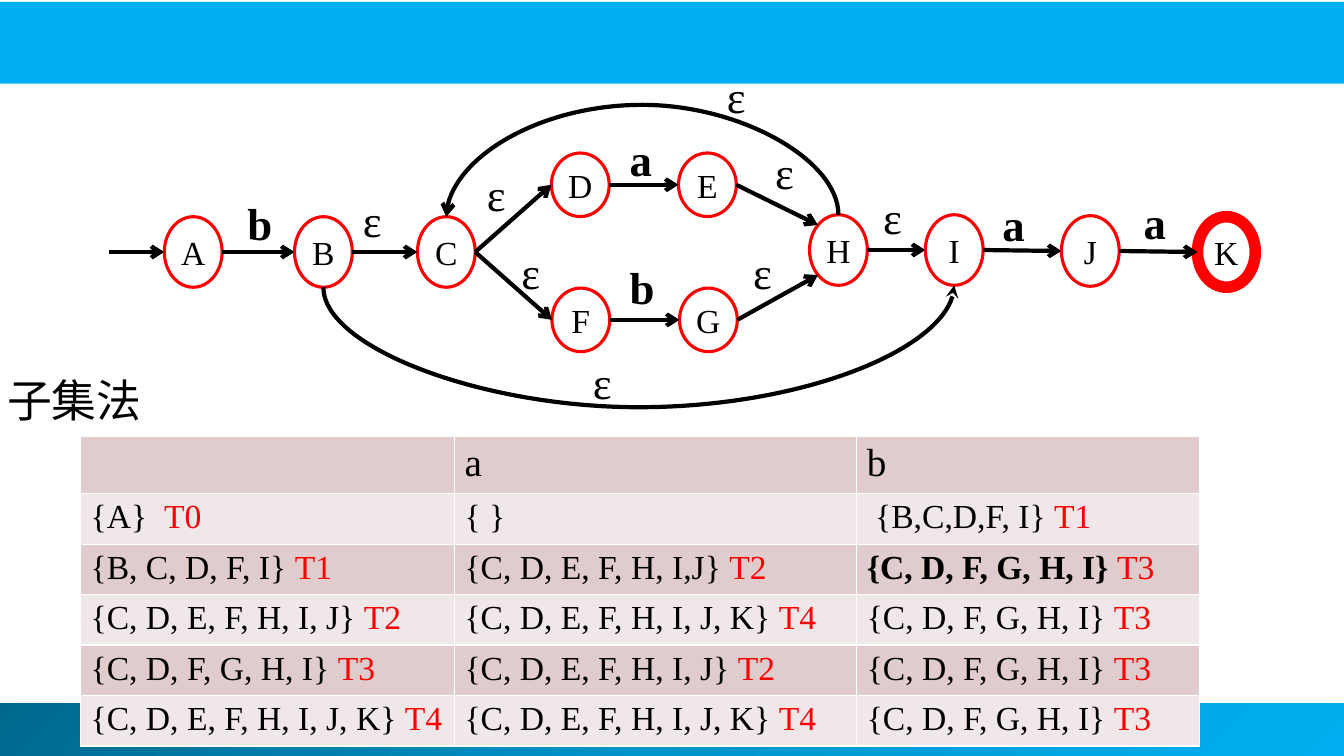
from copy import deepcopy

from lxml import etree
from pptx import Presentation
from pptx.dml.color import RGBColor
from pptx.enum.shapes import MSO_CONNECTOR, MSO_SHAPE
from pptx.enum.text import MSO_ANCHOR, MSO_AUTO_SIZE, PP_ALIGN
from pptx.oxml.ns import qn
from pptx.util import Pt

STRAIGHT, CURVE = MSO_CONNECTOR.STRAIGHT, MSO_CONNECTOR.CURVE
RECTANGLE, OVAL = MSO_SHAPE.RECTANGLE, MSO_SHAPE.OVAL
MIDDLE, CENTER = MSO_ANCHOR.MIDDLE, PP_ALIGN.CENTER
GROW = MSO_AUTO_SIZE.SHAPE_TO_FIT_TEXT

COLORS = {
    "band": "00B0F0", "band_mid": "0094CA", "band_dark": "00688E",
    "text": "000000", "accent": "FF0000", "border": "FFFFFF",
    "row_dark": "E0CCCD", "row_light": "F0E7E8",
}
SERIF, CHINESE = "Times New Roman", "Noto Sans"

# State centres, relative to the automaton's box
STATES = {
    "A": (60, 135), "B": (153, 135), "C": (240.8, 135),
    "D": (336.5, 87), "E": (427.3, 87), "F": (336.9, 183.5), "G": (428, 183.5),
    "H": (520.9, 133.6), "I": (603.6, 133.6), "J": (700.8, 134.3), "K": (798, 135),
}
STATE_WIDTH, TALL, SHORT = 41.3, 50.4, 45.4
# Points on an ellipse, as shares of its half width and half height
SITES = {
    "left": (-1, 0), "right": (1, 0), "top": (0, -1), "bottom": (0, 1),
    "upper left": (-0.71, -0.71), "lower left": (-0.71, 0.71),
}
STEPS = [("A", "B"), ("B", "C"), ("C", "D"), ("C", "F"), ("D", "E"), ("F", "G"),
         ("E", "H", "upper left"), ("G", "H", "lower left"),
         ("H", "I"), ("I", "J"), ("J", "K")]
# Middle and top of each edge label
LABELS = [
    ("b", 106.7, 91.1), ("ε", 188, 88.9), ("ε", 276.6, 70.2), ("ε", 301.1, 126.4),
    ("a", 379.6, 45.7), ("b", 379.6, 137.2), ("ε", 482.5, 55.1), ("ε", 466.7, 126.4),
    ("ε", 559.6, 86.8), ("a", 646, 91.8), ("a", 746.8, 90.4),
    ("ε", 448, 0.4), ("ε", 352.2, 204.8),
]
SUBSETS = [
    ("", "a", "b"),
    ("{A}  T0", "{ }", " {B,C,D,F, I} T1"),
    ("{B, C, D, F, I} T1", "{C, D, E, F, H, I,J} T2", "{C, D, F, G, H, I} T3"),
    ("{C, D, E, F, H, I, J} T2", "{C, D, E, F, H, I, J, K} T4", "{C, D, F, G, H, I} T3"),
    ("{C, D, F, G, H, I} T3", "{C, D, E, F, H, I, J} T2", "{C, D, F, G, H, I} T3"),
    ("{C, D, E, F, H, I, J, K} T4", "{C, D, E, F, H, I, J, K} T4", "{C, D, F, G, H, I} T3"),
]
BOLD_CELL = (2, 2)


def rgb(name):
    return RGBColor.from_string(COLORS[name])


def add_span(para, text, size, color="text", bold=False, font=SERIF):
    span = para.add_run()
    span.text = text
    span.font.size, span.font.bold, span.font.name = Pt(size), bold, font
    span.font.color.rgb = rgb(color)
    return span


def add_bar(page, left, top, width, height):
    bar = page.shapes.add_shape(RECTANGLE, Pt(left), Pt(top), Pt(width), Pt(height))
    bar.shadow.inherit = False
    bar.line.fill.background()
    return bar


def add_bands(page, left, width):
    """Plain band at the top, shaded band at the bottom."""
    footer = add_bar(page, left, 502.5, width, 37.5)
    footer.fill.gradient()
    stops = footer._element.spPr.find(".//" + qn("a:gsLst"))
    stops.insert(1, deepcopy(stops[0]))
    shades = ("band_dark", "band_mid", "band")
    for index, (stop, shade) in enumerate(zip(footer.fill.gradient_stops, shades)):
        stop.position = index / 2
        stop.color.rgb = rgb(shade)
    footer.fill.gradient_angle = 315

    header = add_bar(page, left, 1.4, width, 58.4)
    header.fill.solid()
    header.fill.fore_color.rgb = rgb("band")


def add_label(page, text, left, top, width, bold=False, font=SERIF):
    box = page.shapes.add_textbox(Pt(left), Pt(top), Pt(width), Pt(46))
    frame = box.text_frame
    frame.word_wrap, frame.auto_size = False, GROW
    para = frame.paragraphs[0]
    return para, add_span(para, text, 32, bold=bold, font=font)


def add_arrow(page, kind, start, end, head="arrow"):
    arrow = page.shapes.add_connector(kind, *(Pt(value) for value in start + end))
    arrow.line.width = Pt(3)
    arrow.line.color.rgb = rgb("text")
    etree.SubElement(arrow.line._get_or_add_ln(), qn("a:tailEnd"), type=head)
    etree.SubElement(arrow._element.spPr, qn("a:effectLst"))
    return arrow


def add_arc(page, start, end, rise, turn, head):
    """Curve that leaves and enters vertically, bulging by rise."""
    arc = add_arrow(page, CURVE, start, end, head)
    span, drop = abs(end[0] - start[0]), abs(end[1] - start[1])
    arc.left = Pt((start[0] + end[0] - drop) / 2)
    arc.top = Pt((start[1] + end[1] - span) / 2)
    arc.width, arc.height = Pt(drop), Pt(span)
    xfrm = arc._element.spPr.find(qn("a:xfrm"))
    for key, value in (("rot", str(turn * 60000)), ("flipH", "1"), ("flipV", "1")):
        xfrm.set(key, value)
    guides = arc._element.spPr.find(".//" + qn("a:avLst"))
    bulge = round(-rise / drop * 100000)
    etree.SubElement(guides, qn("a:gd"), name="adj1", fmla=f"val {bulge}")


def add_automaton(page, left, top):
    def height_of(name):
        return SHORT if name in "DEFG" else TALL

    def site(name, side):
        (x, y), (across, down) = STATES[name], SITES[side]
        return (left + x + across * STATE_WIDTH / 2,
                top + y + down * height_of(name) / 2)

    # States
    for name in STATES:
        x, y = site(name, "left")[0], site(name, "top")[1]
        state = page.shapes.add_shape(OVAL, Pt(x), Pt(y), Pt(STATE_WIDTH), Pt(height_of(name)))
        state.shadow.inherit = False
        state.fill.background()
        state.line.color.rgb = rgb("accent")
        state.line.width = Pt(8.25 if name == "K" else 2.25)
        frame = state.text_frame
        frame.word_wrap, frame.vertical_anchor = False, MIDDLE
        frame.paragraphs[0].alignment = CENTER
        add_span(frame.paragraphs[0], name, 24)

    # Transitions
    entry = site("A", "left")
    add_arrow(page, STRAIGHT, (left, entry[1]), entry)
    for source, target, *side in STEPS:
        add_arrow(page, STRAIGHT, site(source, "right"), site(target, *(side or ["left"])))
    add_arc(page, site("H", "top"), site("C", "top"), 79.2, 270, "arrow")
    add_arc(page, site("B", "bottom"), site("I", "bottom"), 86.4, 90, "stealth")

    # Edge labels
    for text, middle, y in LABELS:
        para, _ = add_label(page, text, left + middle - 15, top + y, 30, bold=text != "ε")
        para.alignment = CENTER


def add_method_name(page, left, top):
    _, span = add_label(page, "子集法", left, top, 111.6, font=CHINESE)
    etree.SubElement(span.font._element, qn("a:ea"), typeface=CHINESE)


def add_cell_borders(cell):
    props = cell._tc.get_or_add_tcPr()
    for index, side in enumerate(("lnL", "lnR", "lnT", "lnB")):
        line = etree.Element(qn(f"a:{side}"), w=str(Pt(1)))
        fill = etree.SubElement(line, qn("a:solidFill"))
        etree.SubElement(fill, qn("a:srgbClr"), val=COLORS["border"])
        props.insert(index, line)


def add_subset_table(page, left, top, widths, heights):
    frame = page.shapes.add_table(len(heights), len(widths), Pt(left), Pt(top),
                                  Pt(sum(widths)), Pt(sum(heights)))
    table = frame.table
    table.first_row = table.horz_banding = False
    for column, width in zip(table.columns, widths):
        column.width = Pt(width)
    for row, height in zip(table.rows, heights):
        row.height = Pt(height)
    for r, texts in enumerate(SUBSETS):
        for c, text in enumerate(texts):
            cell = table.cell(r, c)
            cell.fill.solid()
            cell.fill.fore_color.rgb = rgb("row_light" if r % 2 else "row_dark")
            add_cell_borders(cell)
            para = cell.text_frame.paragraphs[0]
            members, mark, number = text.partition("T")
            if members:
                add_span(para, members, 24 if r else 28, bold=(r, c) == BOLD_CELL)
            if mark:
                add_span(para, mark + number, 24, "accent")


def main():
    deck = Presentation()
    deck.slide_width, deck.slide_height = Pt(960), Pt(540)
    page = deck.slides.add_slide(deck.slide_layouts[6])
    add_bands(page, -3, 964)
    add_automaton(page, 78, 45)
    add_method_name(page, -2, 262.8)
    add_subset_table(page, 57.6, 311.8, (267.1, 287.3, 244.8), [40] + [36] * 5)
    deck.save("out.pptx")


if __name__ == "__main__":
    main()
